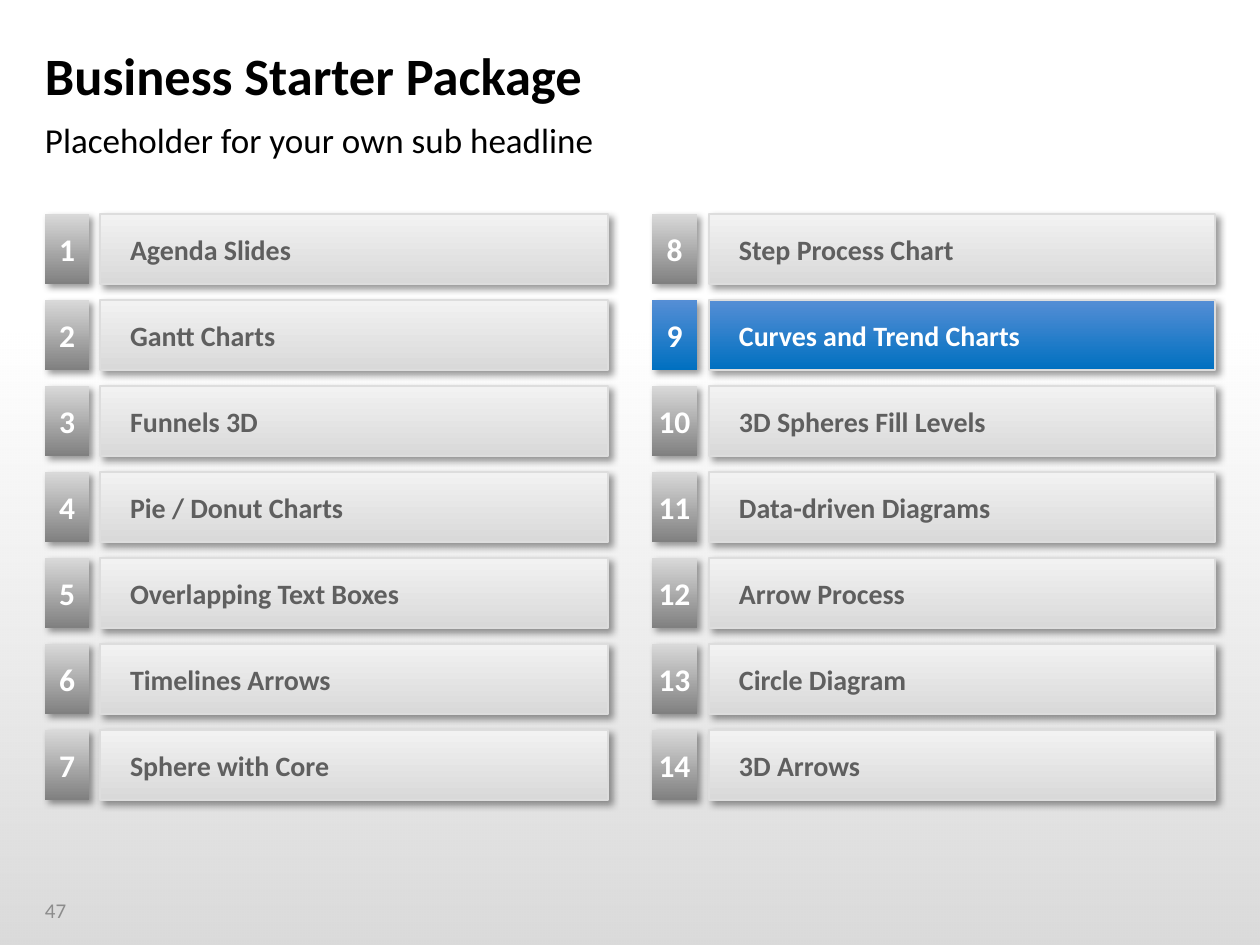
import pptx
import pptx.util
import pptx.dml.color
import pptx.enum.shapes
import pptx.enum.text
import pptx.oxml
import pptx.oxml.ns
from dataclasses import dataclass


@dataclass(frozen=True)
class Theme:
    font: str = "Calibri"
    black: str = "000000"
    white: str = "FFFFFF"
    label: str = "5F5F5F"
    page: str = "8C8C8C"
    border: str = "DDDDDD"
    bar: tuple = ("F2F2F2", "D9D9D9")
    badge: tuple = ("D9D9D9", "808080")
    active: tuple = ("558ED5", "0070C0")
    title_size: int = 30
    subtitle_size: int = 20
    badge_size: int = 18
    label_size: int = 16
    page_size: int = 12


theme = Theme()
px = pptx.util.Inches(10) / 1260
rgb = pptx.dml.color.RGBColor.from_string
align = pptx.enum.text.PP_ALIGN
anchor = pptx.enum.text.MSO_ANCHOR
namespace = pptx.oxml.ns.nsdecls("a")


def write(shape, text, size, color, bold=False, insets=(0, 0, 0, 0),
          alignment=align.LEFT, vertical=anchor.MIDDLE):
    frame = shape.text_frame
    frame.word_wrap = True
    frame.auto_size = pptx.enum.text.MSO_AUTO_SIZE.NONE
    frame.vertical_anchor = vertical
    frame.margin_left, frame.margin_top, frame.margin_right, frame.margin_bottom = (
        round(inset * px) for inset in insets)
    paragraph = frame.paragraphs[0]
    paragraph.alignment = alignment
    run = paragraph.add_run()
    run.text = text
    run.font.name = theme.font
    run.font.size = pptx.util.Pt(size)
    run.font.bold = bold
    run.font.color.rgb = rgb(color)


def add_gradient_box(shapes, left, top, width, height, colors, border=None, shadow=True):
    box = shapes.add_shape(
        pptx.enum.shapes.MSO_SHAPE.RECTANGLE,
        *(round(length * px) for length in (left, top, width, height)))
    box.shadow.inherit = False
    box.fill.gradient()
    box.fill.gradient_angle = 270
    for stop, color in zip(box.fill.gradient_stops, colors):
        stop.color.rgb = rgb(color)
    if border:
        box.line.color.rgb = rgb(border)
        box.line.width = pptx.util.Pt(1)
    else:
        box.line.fill.background()
    if shadow:
        effects = box._element.spPr.find(pptx.oxml.ns.qn("a:effectLst"))
        effects.append(pptx.oxml.parse_xml(
            f'<a:outerShdw {namespace} blurRad="50800" dist="38100" dir="2700000" '
            f'algn="tl" rotWithShape="0"><a:srgbClr val="{theme.black}">'
            '<a:alpha val="40000"/></a:srgbClr></a:outerShdw>'))
    return box


presentation = pptx.Presentation()
presentation.slide_width = round(1260 * px)
presentation.slide_height = round(945 * px)
slide = presentation.slides.add_slide(presentation.slide_layouts[5])
slide.background.fill.solid()
slide.background.fill.fore_color.rgb = rgb(theme.white)

shade = add_gradient_box(slide.shapes, 0, 326, 1260, 619,
                         (theme.black, theme.black), shadow=False)
shade_colors = shade._element.spPr.iter(pptx.oxml.ns.qn("a:srgbClr"))
for color, opacity in zip(list(shade_colors), (0, 15000)):
    color.append(pptx.oxml.parse_xml(f'<a:alpha {namespace} val="{opacity}"/>'))

title = slide.shapes.title
title.left, title.top, title.width, title.height = (
    round(length * px) for length in (45, 33, 1170, 84))
write(title, "Business Starter Package", theme.title_size, theme.black,
      bold=True, insets=(0, 6, 13, 6))

subtitle = slide.shapes.add_textbox(
    *(round(length * px) for length in (45, 118, 1170, 47)))
write(subtitle, "Placeholder for your own sub headline", theme.subtitle_size,
      theme.black, vertical=anchor.TOP)

page_number = slide.shapes.add_textbox(
    *(round(length * px) for length in (33, 885, 80, 50)))
write(page_number, "47", theme.page_size, theme.page, insets=(12, 6, 12, 6))

topics = [
    "Agenda Slides", "Gantt Charts", "Funnels 3D", "Pie / Donut Charts",
    "Overlapping Text Boxes", "Timelines Arrows", "Sphere with Core",
    "Step Process Chart", "Curves and Trend Charts", "3D Spheres Fill Levels",
    "Data-driven Diagrams", "Arrow Process", "Circle Diagram", "3D Arrows",
]
active_number = 9
rows = 7
row_top, row_step, row_height = 214, 86, 70
columns = [(45, 44, 100, 508), (652, 45, 709, 506)]

for index, topic in enumerate(topics):
    number = index + 1
    column, row = divmod(index, rows)
    badge_left, badge_width, bar_left, bar_width = columns[column]
    top = row_top + row * row_step
    is_active = number == active_number
    group = slide.shapes.add_group_shape()
    bar = add_gradient_box(group.shapes, bar_left, top, bar_width, row_height,
                           theme.active if is_active else theme.bar, theme.border)
    write(bar, topic, theme.label_size, theme.white if is_active else theme.label,
          bold=True, insets=(30, 5, 5, 5))
    badge = add_gradient_box(group.shapes, badge_left, top, badge_width, row_height,
                             theme.active if is_active else theme.badge)
    write(badge, str(number), theme.badge_size, theme.white,
          bold=True, alignment=align.CENTER)

presentation.save("out.pptx")
